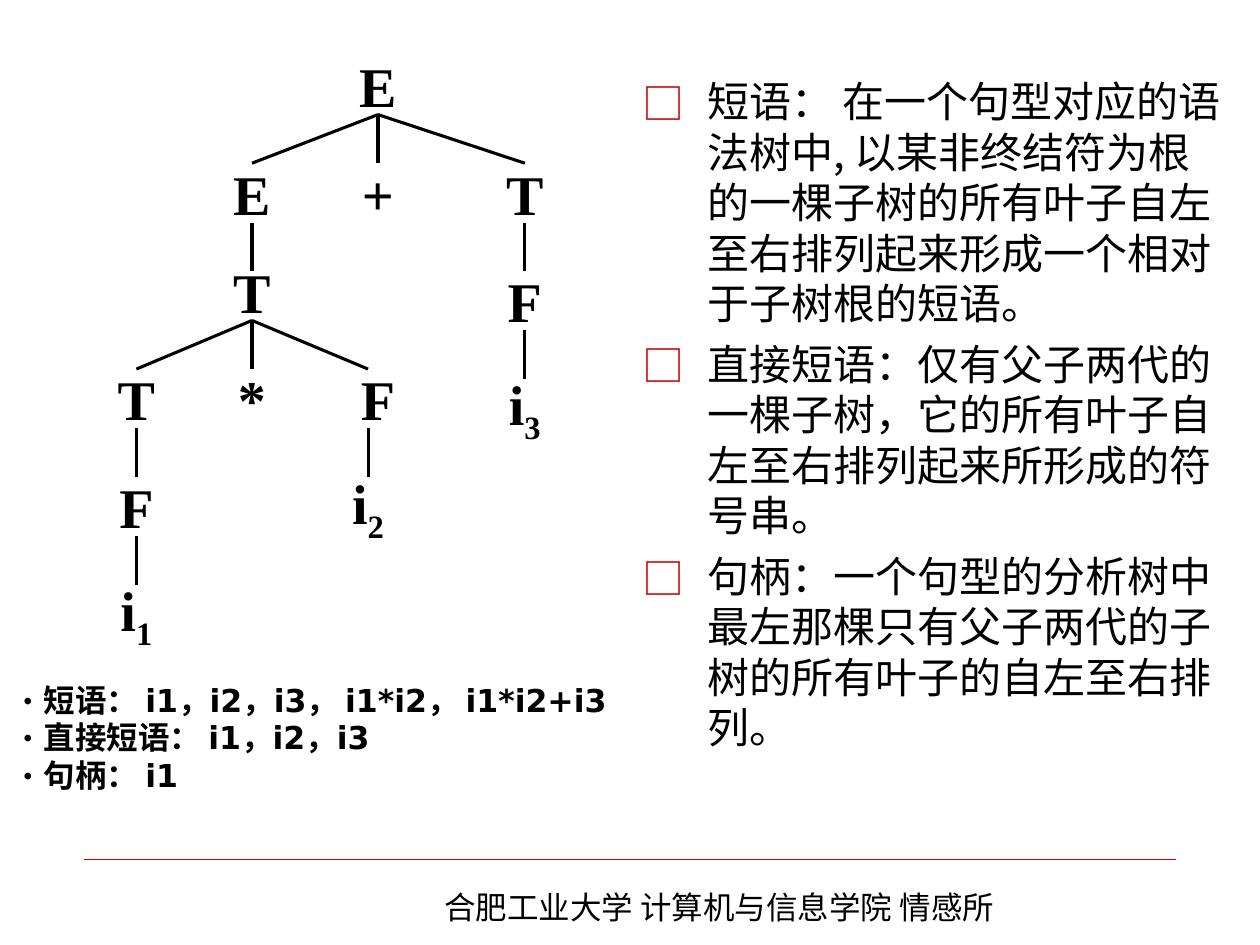
from lxml import etree
from pptx import Presentation
from pptx.dml.color import RGBColor
from pptx.enum.shapes import MSO_CONNECTOR
from pptx.enum.text import MSO_ANCHOR, MSO_AUTO_SIZE, PP_ALIGN
from pptx.oxml.ns import qn
from pptx.util import Cm, Pt

STRAIGHT = MSO_CONNECTOR.STRAIGHT
TOP, MIDDLE = MSO_ANCHOR.TOP, MSO_ANCHOR.MIDDLE
CENTER, LEFT = PP_ALIGN.CENTER, PP_ALIGN.LEFT
NO_FIT = MSO_AUTO_SIZE.NONE

BLACK = RGBColor(0x00, 0x00, 0x00)
RED = RGBColor(0xCC, 0x00, 0x00)

CJK_FONT = "Noto Sans CJK SC"
ANSWER_FONT = "DejaVu Sans"
TREE_FONT = "Times New Roman"

# Tree geometry in centimetres
NODE_WIDTH, NODE_HEIGHT, LINK_DROP = 1.7, 1.18, 0.98

# Symbol, subscript, centre x, top
NODES = [
    ("E", "", 7.62, 1.12),
    ("E", "", 5.08, 3.3), ("+", "", 7.62, 3.3), ("T", "", 10.58, 3.3),
    ("T", "", 5.08, 5.28), ("F", "", 10.58, 5.46),
    ("T", "", 2.75, 7.44), ("*", "", 5.08, 7.44), ("F", "", 7.62, 7.44),
    ("i", "3", 10.58, 7.64),
    ("F", "", 2.75, 9.62), ("i", "2", 7.42, 9.62),
    ("i", "1", 2.75, 11.79),
]

# Parent x, start y, x of each child
LINKS = [
    (7.62, 2.31, [5.08, 7.62, 10.58]),
    (5.08, 4.49, [5.08]),
    (10.58, 4.49, [10.58]),
    (5.08, 6.46, [2.75, 5.08, 7.42]),
    (10.58, 6.66, [10.58]),
    (2.75, 8.63, [2.75]),
    (7.42, 8.63, [7.42]),
    (2.75, 10.81, [2.75]),
]

DEFINITIONS = [
    "短语： 在一个句型对应的语法树中, 以某非终结符为根的一棵子树的所有叶子自左至右排列起来形成一个相对于子树根的短语。",
    "直接短语：仅有父子两代的一棵子树，它的所有叶子自左至右排列起来所形成的符号串。",
    "句柄：一个句型的分析树中最左那棵只有父子两代的子树的所有叶子的自左至右排列。",
]
ANSWERS = [
    "短语： i1，i2，i3， i1*i2， i1*i2+i3",
    "直接短语： i1，i2，i3",
    "句柄： i1",
]


class SlideBuilder:
    """Holds the current slide and the shared text style."""

    def __init__(self, slide):
        self.slide = slide

    def style_run(self, run, size, font, bold=False):
        run.font.size = Pt(size)
        run.font.name = font
        run.font.bold = bold
        run.font.color.rgb = BLACK
        east_asian = etree.SubElement(run.font._element, qn("a:ea"))
        east_asian.set("typeface", CJK_FONT)

    def set_bullet(self, paragraph, character, color, indent):
        properties = paragraph._p.get_or_add_pPr()
        properties.set("marL", str(Cm(indent)))
        properties.set("indent", str(-Cm(indent)))
        bullet_color = etree.SubElement(properties, qn("a:buClr"))
        etree.SubElement(bullet_color, qn("a:srgbClr")).set("val", str(color))
        etree.SubElement(properties, qn("a:buFont")).set("typeface", CJK_FONT)
        etree.SubElement(properties, qn("a:buChar")).set("char", character)

    def fill_text(self, shape, lines, size, font, bold=False, gap=0, bullet=None):
        frame = shape.text_frame
        frame.word_wrap = True
        frame.auto_size = NO_FIT
        frame.vertical_anchor = TOP
        frame.margin_top = Cm(0.21)
        frame.text = "\n".join(lines)
        for index, paragraph in enumerate(frame.paragraphs):
            if bullet:
                self.set_bullet(paragraph, *bullet)
            paragraph.alignment = LEFT
            paragraph.line_spacing = Pt(size * 1.2)
            paragraph.space_before = Pt(gap if index else 0)
            for run in paragraph.runs:
                self.style_run(run, size, font, bold)

    def body(self, left, top, width, height, lines, **style):
        shape = self.slide.placeholders[1]
        shape.left, shape.top = Cm(left), Cm(top)
        shape.width, shape.height = Cm(width), Cm(height)
        self.fill_text(shape, lines, **style)

    def text_box(self, left, top, width, height, lines, **style):
        shape = self.slide.shapes.add_textbox(Cm(left), Cm(top), Cm(width), Cm(height))
        self.fill_text(shape, lines, **style)

    def line(self, shapes, start, end, color, width):
        x1, y1, x2, y2 = (Cm(value) for value in (*start, *end))
        connector = shapes.add_connector(STRAIGHT, x1, y1, x2, y2)
        connector.line.color.rgb = color
        connector.line.width = Pt(width)
        etree.SubElement(connector._element.spPr, qn("a:effectLst"))

    def node(self, shapes, symbol, subscript, center, top):
        shape = shapes.add_textbox(Cm(center - NODE_WIDTH / 2), Cm(top),
                                   Cm(NODE_WIDTH), Cm(NODE_HEIGHT))
        frame = shape.text_frame
        frame.word_wrap = False
        frame.vertical_anchor = MIDDLE
        paragraph = frame.paragraphs[0]
        paragraph.text = symbol
        paragraph.alignment = CENTER
        if subscript:
            run = paragraph.add_run()
            run.text = subscript
            run.font._element.set("baseline", "-25000")
        for run in paragraph.runs:
            self.style_run(run, 32, TREE_FONT, bold=True)

    def tree(self, nodes, links):
        shapes = self.slide.shapes.add_group_shape().shapes
        for node in nodes:
            self.node(shapes, *node)
        for parent, top, children in links:
            for child in children:
                self.line(shapes, (parent, top), (child, top + LINK_DROP), BLACK, 1.75)


def main():
    presentation = Presentation()
    presentation.slide_width, presentation.slide_height = Cm(25.4), Cm(19.05)
    slide = presentation.slides.add_slide(presentation.slide_layouts[1])
    title = slide.shapes.title._element
    title.getparent().remove(title)
    builder = SlideBuilder(slide)

    # Footer
    builder.line(slide.shapes, (1.7, 17.32), (23.7, 17.32), RED, 0.25)
    builder.text_box(8.71, 17.7, 12.19, 1.02,
                     ["合肥工业大学 计算机与信息学院 情感所"], size=18, font=CJK_FONT)

    # Definitions
    builder.body(12.7, 1.32, 12.24, 14.02, DEFINITIONS, size=24, font=CJK_FONT,
                 gap=6, bullet=("□", RED, 1.3))

    # Syntax tree
    builder.tree(NODES, LINKS)

    # Answers for the tree
    builder.text_box(0, 13.51, 13.6, 2.54, ANSWERS, size=18, font=ANSWER_FONT,
                     bold=True, bullet=("•", BLACK, 0.6))

    presentation.save("out.pptx")


if __name__ == "__main__":
    main()
